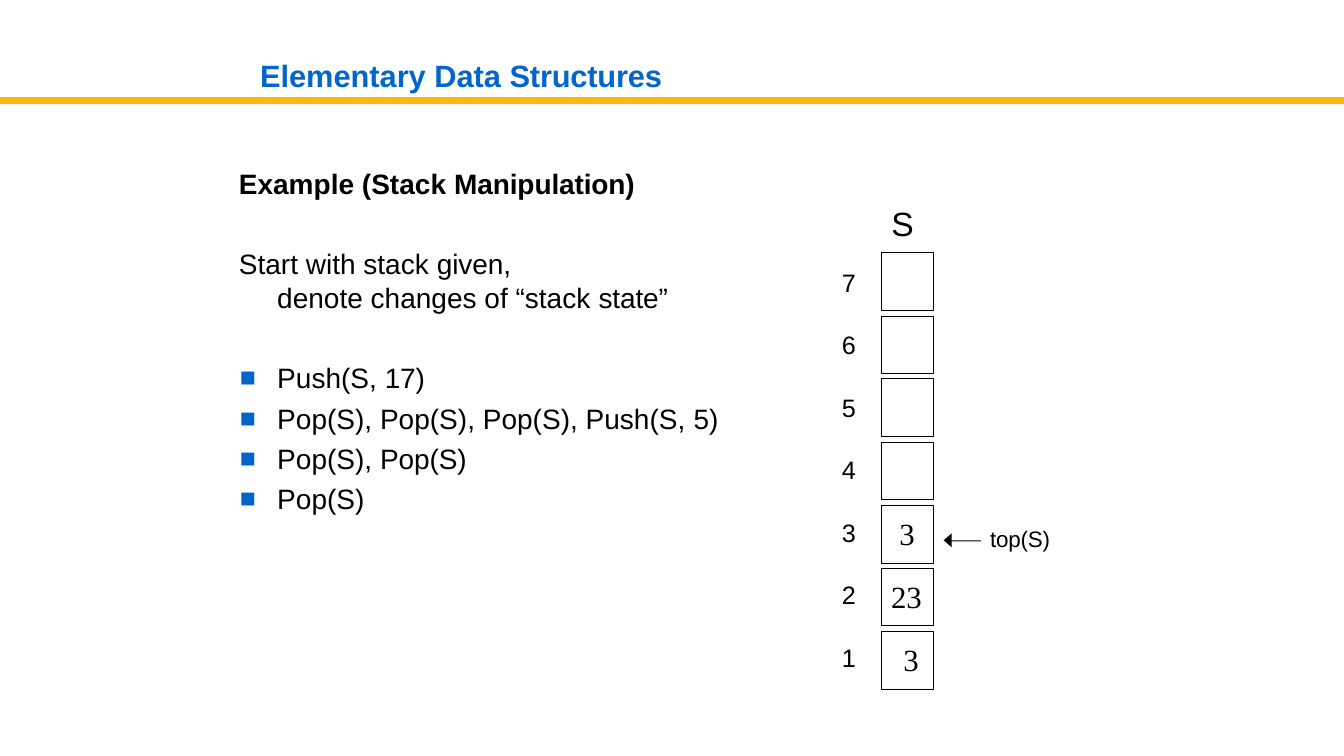
from lxml.etree import SubElement
from pptx import Presentation
from pptx.dml.color import RGBColor
from pptx.enum.shapes import MSO_CONNECTOR
from pptx.enum.text import MSO_ANCHOR, MSO_AUTO_SIZE, PP_ALIGN
from pptx.oxml.ns import qn
from pptx.util import Emu, Pt

SCALE = 9144
BLACK, BLUE, BULLET_BLUE, AMBER = "000000", "0065CC", "0065C9", "FFB50D"
BODY = {"size": Pt(20), "name": "Arial", "bold": False}
HEADING = {**BODY, "bold": True}
TITLE = {**HEADING, "size": Pt(22)}
STACK_NAME = {**BODY, "size": Pt(24)}
INDEX = {**BODY, "size": Pt(18)}
POINTER = {**BODY, "size": Pt(16)}
VALUE = {"size": Pt(22), "name": "Times New Roman", "bold": False}

OPERATIONS = [
    ("Push(S, 17)", 5.8, -20),
    ("Pop(S), Pop(S), Pop(S), Push(S, 5)", 4.7, -20),
    ("Pop(S), Pop(S)", 4.8, -10),
    ("Pop(S)", 4.8, 0),
]
HIGHEST = 7
CELL_GROUPS = [(3,), (6, 7, 1), (2,), (5, 4)]
VALUES = [(3, "3", 891, -50), (1, "3", 895, -50), (2, "23", 883, -20)]
CELL_LEFT, CELL_TOP, CELL_PITCH = 874, 251, 62.7
CELL_WIDTH, CELL_HEIGHT = 52, 57
INDEX_TOP, INDEX_PITCH = 264, 62
ARROW = [(936, 536), (944, 529), (944, 536), (973, 536), (973, 537), (944, 537), (944, 543)]


def px(length):
    return Emu(round(length * SCALE))


def color(value):
    return RGBColor.from_string(value)


def apply_format(target, values):
    for name, value in values.items():
        setattr(target, name, value)


def set_frame(frame, left=1, top=1):
    apply_format(frame, {
        "margin_left": px(left), "margin_top": px(top), "margin_right": 0, "margin_bottom": 0,
        "word_wrap": False, "auto_size": MSO_AUTO_SIZE.NONE, "vertical_anchor": MSO_ANCHOR.TOP,
    })


def write_paragraph(para, text, font, ink=BLACK, before=1.0, tail_spacing=-10):
    apply_format(para, {"alignment": PP_ALIGN.LEFT, "space_before": Pt(before)})
    head, gap, tail = text.rpartition(" ")
    for part, spacing in ((head + gap, 0), (tail, tail_spacing)):
        if part:
            span = para.add_run()
            span.text = part
            apply_format(span.font, font)
            span.font.color.rgb = color(ink)
            span._r.get_or_add_rPr().set("spc", str(spacing))


def set_indent(para, left, first=0):
    properties = para._p.get_or_add_pPr()
    properties.set("marL", str(px(left)))
    properties.set("indent", str(px(first)))
    return properties


def add_text(page, area, text, font, tail_spacing=-10):
    box = page.shapes.add_textbox(*map(px, area))
    set_frame(box.text_frame)
    write_paragraph(box.text_frame.paragraphs[0], text, font, tail_spacing=tail_spacing)
    return box.text_frame


def add_title(page, text):
    title = page.shapes.title
    apply_format(title, {"left": px(257), "top": px(55), "width": px(538), "height": px(38)})
    set_frame(title.text_frame)
    write_paragraph(title.text_frame.paragraphs[0], text, TITLE, BLUE)


def add_bullets(page, area, items):
    frame = page.shapes.add_textbox(*map(px, area)).text_frame
    set_frame(frame, left=0, top=8)
    for number, (item, before, spacing) in enumerate(items):
        para = frame.add_paragraph() if number else frame.paragraphs[0]
        write_paragraph(para, item, BODY, before=before, tail_spacing=spacing)
        properties = set_indent(para, 39, -37)
        bullet_color = SubElement(properties, qn("a:buClr"))
        SubElement(bullet_color, qn("a:srgbClr"), val=BULLET_BLUE)
        SubElement(properties, qn("a:buSzPct"), val="95000")
        SubElement(properties, qn("a:buFont"), typeface="Arial")
        SubElement(properties, qn("a:buChar"), char="■")


def add_rule(page, points, ink, width):
    rule = page.shapes.add_connector(MSO_CONNECTOR.STRAIGHT, *map(px, points))
    rule.line.color.rgb = color(ink)
    rule.line.width = Pt(width)
    SubElement(rule._element.spPr, qn("a:effectLst"))


def add_outline(page, contours):
    builder = page.shapes.build_freeform(*contours[0][0], scale=SCALE)
    for number, contour in enumerate(contours):
        if number:
            builder.move_to(*contour[0])
        builder.add_line_segments(contour[1:], close=True)
    outline = builder.convert_to_shape()
    outline.shadow.inherit = False
    return outline


def cell_top(index):
    return round(CELL_TOP + (HIGHEST - index) * CELL_PITCH)


def cell_contour(index):
    top = cell_top(index)
    right, bottom = CELL_LEFT + CELL_WIDTH, top + CELL_HEIGHT
    return [(CELL_LEFT, top), (CELL_LEFT, bottom), (right, bottom), (right, top)]


def add_cells(page, indices):
    cells = add_outline(page, [cell_contour(index) for index in indices])
    cells.fill.background()
    cells.line.color.rgb = color(BLACK)
    cells.line.width = Pt(0.75)


def add_pointer(page):
    arrow = add_outline(page, [ARROW])
    arrow.fill.solid()
    arrow.fill.fore_color.rgb = color(BLACK)
    arrow.line.fill.background()
    add_text(page, (981, 520, 63, 28), "top(S)", POINTER)


def add_stack(page):
    add_text(page, (883, 200, 25, 43), "S", STACK_NAME, -50)
    for index in range(1, HIGHEST + 1):
        top = INDEX_TOP + (HIGHEST - index) * INDEX_PITCH
        add_text(page, (834, top, 17, 33), str(index), INDEX, -50)
    for indices in CELL_GROUPS:
        add_cells(page, indices)
    for index, value, left, spacing in VALUES:
        add_text(page, (left, cell_top(index) + 8, 18 * len(value), 40), value, VALUE, spacing)
    add_pointer(page)


def main():
    deck = Presentation()
    deck.slide_width, deck.slide_height = px(1333), px(750)
    page = deck.slides.add_slide(deck.slide_layouts[5])
    add_rule(page, (0, 100, 1333, 100), AMBER, 5)
    add_title(page, "Elementary Data Structures")
    add_text(page, (236, 164, 396, 36), "Example (Stack Manipulation)", HEADING)
    task = add_text(page, (236, 244, 427, 69), "Start with stack given,", BODY)
    detail = task.add_paragraph()
    write_paragraph(detail, "denote changes of “stack state”", BODY, before=0)
    set_indent(detail, 38)
    add_bullets(page, (236, 350, 477, 163), OPERATIONS)
    add_stack(page)
    deck.save("out.pptx")


if __name__ == "__main__":
    main()
